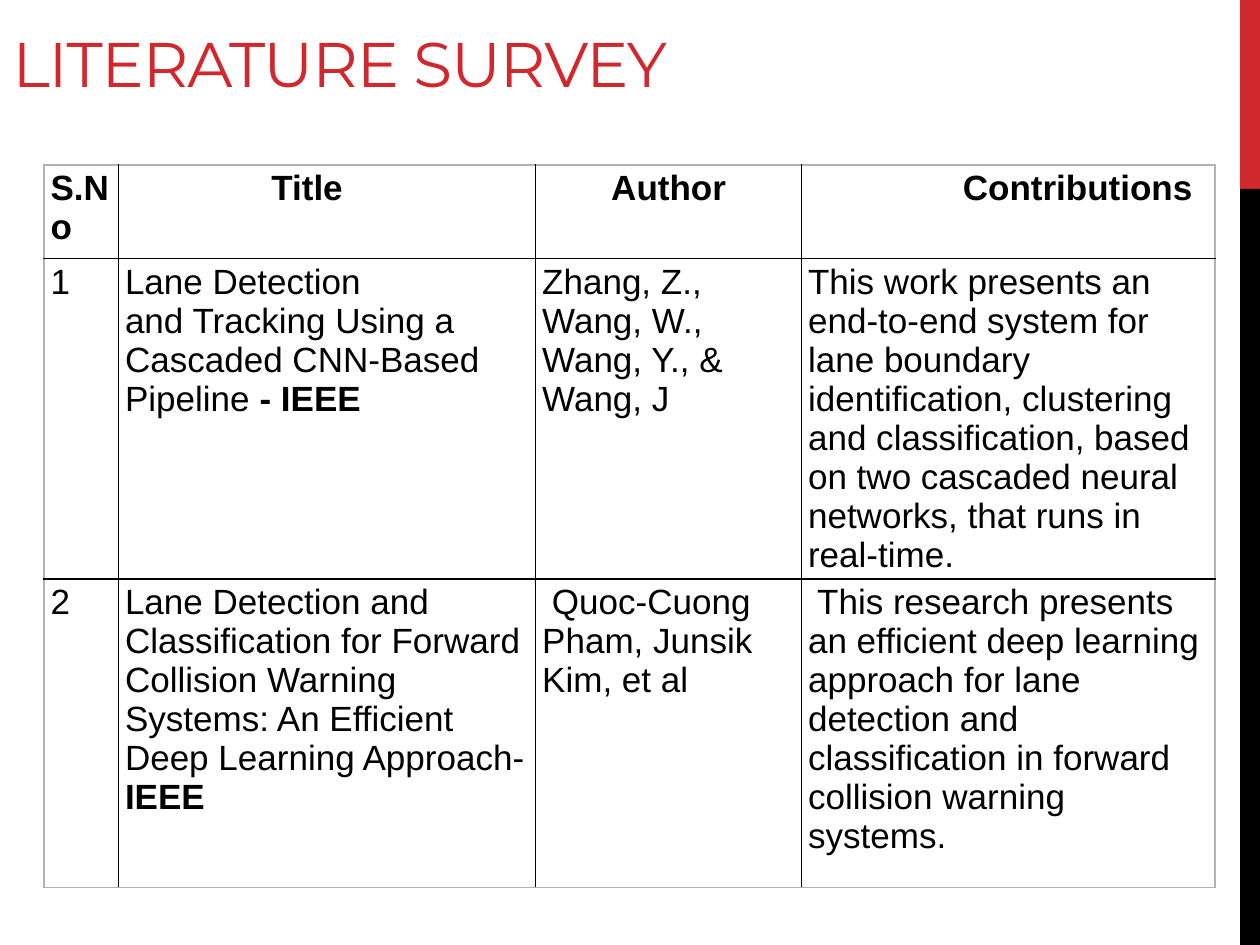
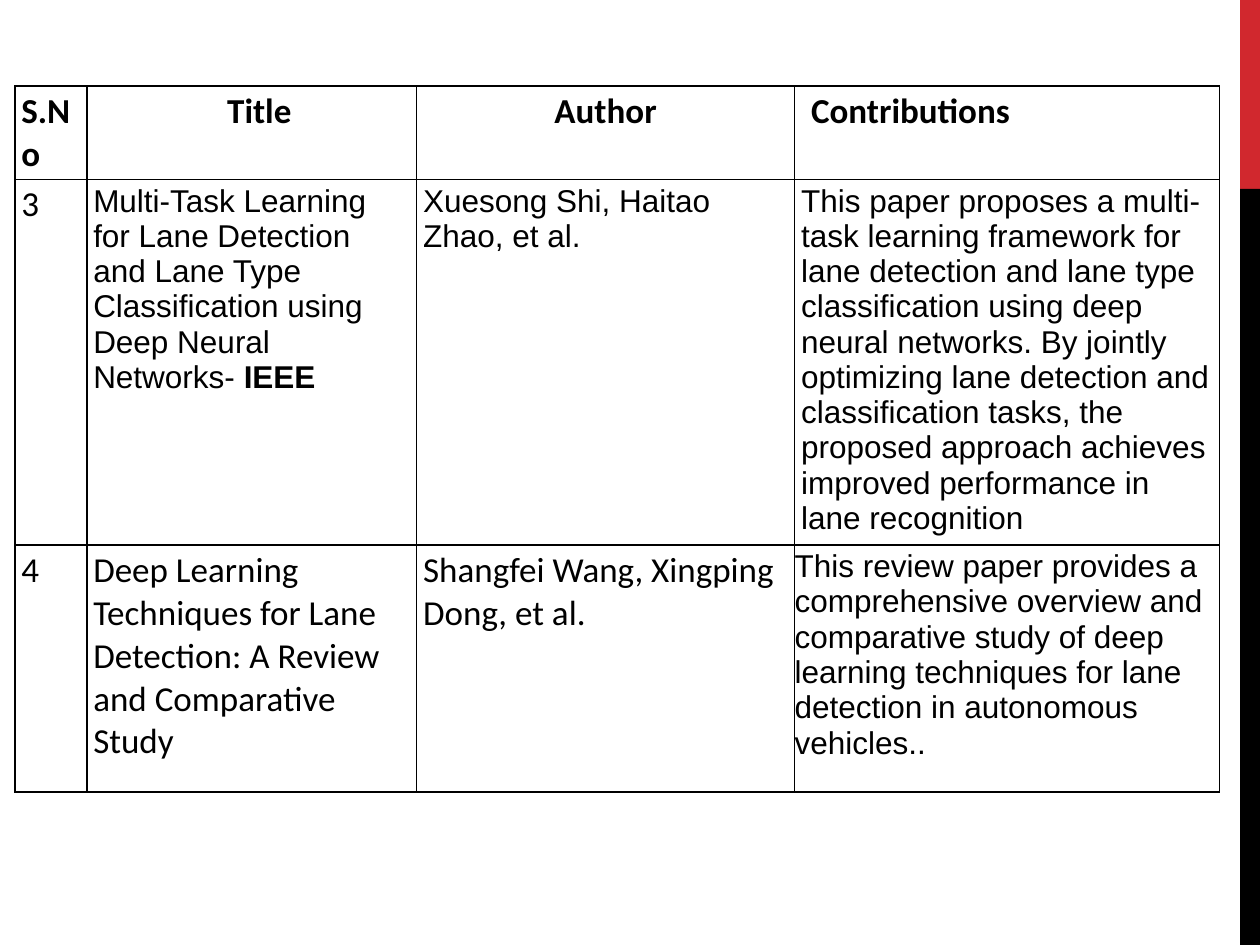
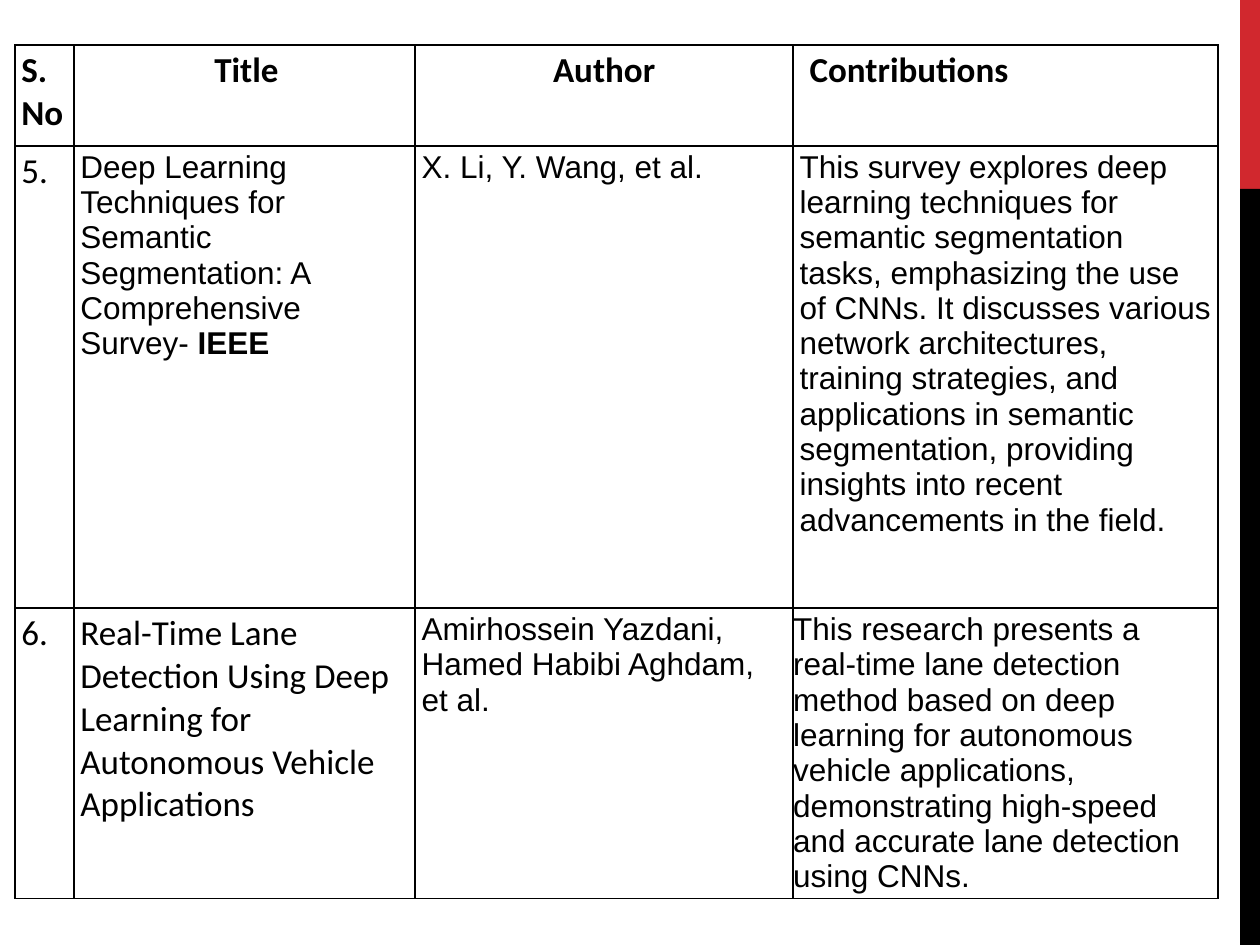
from dataclasses import dataclass

from pptx import Presentation
from pptx import util as u
from pptx.dml.color import RGBColor
from pptx.enum import shapes, text
from pptx.oxml import parse_xml
from pptx.oxml.ns import nsdecls

RED = RGBColor(0xD1, 0x28, 0x2E)
BLACK = RGBColor(0, 0, 0)
GRAY = RGBColor(0xB2, 0xB2, 0xB2)

ARIAL_20 = {"name": "Arial", "size": u.Pt(20)}
ARIAL_18 = {"name": "Arial", "size": u.Pt(18)}
CALIBRI_20 = {"name": "Calibri", "size": u.Pt(20)}
TITLE_FONT = {"name": "Montserrat", "size": u.Pt(36)}

CELL_MARGINS = {
    "margin_left": u.Cm(0.13),
    "margin_right": u.Cm(0.13),
    "margin_top": u.Cm(0.08),
    "margin_bottom": u.Cm(0.08),
}


@dataclass
class Band:
    top: float
    height: float
    color: RGBColor


@dataclass
class Entry:
    words: str
    font: dict
    bold_tail: str = ""
    bold: bool = False
    indent: float = 0
    centered: bool = False
    flush: bool = False


@dataclass
class Survey:
    left: float
    top: float
    widths: list[float]
    heights: list[float]
    outer: RGBColor
    rows: list[list[Entry]]


BANDS = [Band(0, 3.81, RED), Band(3.81, 15.24, BLACK)]


def header(font: dict, title_indent: float, last_indent: float) -> list[Entry]:
    return [
        Entry("S.No", font, bold=True),
        Entry("Title", font, bold=True, indent=title_indent),
        Entry("Author", font, bold=True, centered=True),
        Entry("Contributions", font, bold=True, indent=last_indent),
    ]


SURVEYS = [
    Survey(0.89, 3.33, [1.5, 8.41, 5.36, 8.33], [1.88, 6.1, 6.22], GRAY, [
        header(ARIAL_20, 2.95, 3.12),
        [
            Entry("1", ARIAL_20),
            Entry("Lane Detection\nand Tracking Using a Cascaded CNN-Based Pipeline ", ARIAL_20, "- IEEE"),
            Entry("Zhang, Z., Wang, W., Wang, Y., & Wang, J", ARIAL_20),
            Entry("This work presents an end-to-end system for lane boundary identification, "
                  "clustering and classification, based on two cascaded neural networks, "
                  "that runs in real-time.", ARIAL_20),
        ],
        [
            Entry("2", ARIAL_20),
            Entry("Lane Detection and Classification for Forward Collision Warning Systems: "
                  "An Efficient Deep Learning Approach-", ARIAL_20, "IEEE"),
            Entry(" Quoc-Cuong Pham, Junsik Kim, et al", ARIAL_20),
            Entry(" This research presents an efficient deep learning approach for lane "
                  "detection and classification in forward collision warning systems.", ARIAL_20),
        ],
    ]),
    Survey(0.3, 1.73, [1.45, 6.65, 7.62, 8.56], [1.75, 7.37, 4.98], BLACK, [
        header(CALIBRI_20, 2.7, 0.2),
        [
            Entry("3", CALIBRI_20),
            Entry("Multi-Task Learning for Lane Detection and Lane Type Classification "
                  "using Deep Neural Networks- ", ARIAL_18, "IEEE"),
            Entry("Xuesong Shi, Haitao Zhao, et al.", ARIAL_18),
            Entry("This paper proposes a multi-task learning framework for lane detection and "
                  "lane type classification using deep neural networks. By jointly optimizing "
                  "lane detection and classification tasks, the proposed approach achieves "
                  "improved performance in lane recognition", ARIAL_18),
        ],
        [
            Entry("4", CALIBRI_20),
            Entry("Deep Learning Techniques for Lane Detection: A Review and Comparative Study",
                  CALIBRI_20),
            Entry("Shangfei Wang, Xingping Dong, et al.", CALIBRI_20),
            Entry("This review paper provides a comprehensive overview and comparative study of "
                  "deep learning techniques for lane detection in autonomous vehicles..",
                  ARIAL_18, flush=True),
        ],
    ]),
    Survey(0.3, 0.91, [1.19, 6.88, 7.62, 8.56], [2.03, 9.32, 5.77], BLACK, [
        header(CALIBRI_20, 2.7, 0.2),
        [
            Entry("5.", CALIBRI_20),
            Entry("Deep Learning Techniques for Semantic Segmentation: A Comprehensive Survey- ",
                  ARIAL_18, "IEEE"),
            Entry("X. Li, Y. Wang, et al.", ARIAL_18),
            Entry("This survey explores deep learning techniques for semantic segmentation tasks, "
                  "emphasizing the use of CNNs. It discusses various network architectures, "
                  "training strategies, and applications in semantic segmentation, providing "
                  "insights into recent advancements in the field.", ARIAL_18),
        ],
        [
            Entry("6.", CALIBRI_20),
            Entry("Real-Time Lane Detection Using Deep Learning for Autonomous Vehicle Applications",
                  CALIBRI_20),
            Entry("Amirhossein Yazdani, Hamed Habibi Aghdam, et al.", ARIAL_18),
            Entry("This research presents a real-time lane detection method based on deep learning "
                  "for autonomous vehicle applications, demonstrating high-speed and accurate lane "
                  "detection using CNNs.", ARIAL_18, flush=True),
        ],
    ]),
]


def apply(target, values: dict) -> None:
    for name, value in values.items():
        setattr(target, name, value)


def add_span(para, words: str, font: dict, color: RGBColor, bold: bool = False):
    span = para.add_run()
    span.text = words
    apply(span.font, {**font, "bold": bold})
    span.font.color.rgb = color
    return span


def add_bands(deck, page) -> None:
    tree = deck.slide_master.shapes.element
    for number, band in enumerate(BANDS, start=101):
        box = page.shapes.add_shape(shapes.MSO_SHAPE.RECTANGLE, u.Cm(25), u.Cm(band.top),
                                    u.Cm(0.4), u.Cm(band.height))
        box.shadow.inherit = False
        box.fill.solid()
        box.fill.fore_color.rgb = band.color
        box.line.fill.background()
        box.element.xpath(".//p:cNvPr")[0].set("id", str(number))
        tree.insert_element_before(box.element, "p:extLst")


def add_title(page, words: str) -> None:
    box = page.shapes.title
    apply(box, {"left": 0, "top": u.Cm(0.03), "width": u.Cm(19.1), "height": u.Cm(2.11)})
    apply(box.text_frame, {"vertical_anchor": text.MSO_ANCHOR.BOTTOM,
                           "auto_size": text.MSO_AUTO_SIZE.NONE, "word_wrap": True})
    para = box.text_frame.paragraphs[0]
    para.alignment = text.PP_ALIGN.LEFT
    span = add_span(para, words, TITLE_FONT, RED)
    span.font.element.set("spc", "-60") if hasattr(span.font, "element") else span._r.get_or_add_rPr().set("spc", "-60")


def fill_cell(cell, entry: Entry) -> None:
    apply(cell, CELL_MARGINS)
    if entry.flush:
        cell.margin_left = 0
    cell.fill.background()
    lines = entry.words.split("\n")
    for index, line in enumerate(lines):
        para = cell.text_frame.paragraphs[0] if index == 0 else cell.text_frame.add_paragraph()
        para.alignment = text.PP_ALIGN.CENTER if entry.centered else text.PP_ALIGN.LEFT
        if entry.indent:
            para._p.get_or_add_pPr().set("marL", str(u.Cm(entry.indent)))
        add_span(para, line, entry.font, BLACK, entry.bold)
    if entry.bold_tail:
        add_span(para, entry.bold_tail, entry.font, BLACK, True)


def set_borders(cell, colors: dict[str, RGBColor]) -> None:
    properties = cell._tc.get_or_add_tcPr()
    for index, (side, color) in enumerate(colors.items()):
        properties.insert(index, parse_xml(
            f'<a:ln{side} {nsdecls("a")} w="{u.Pt(1)}"><a:solidFill>'
            f'<a:srgbClr val="{color}"/></a:solidFill></a:ln{side}>'))


def add_survey(page, survey: Survey) -> None:
    frame = page.shapes.add_table(
        len(survey.heights), len(survey.widths), u.Cm(survey.left), u.Cm(survey.top),
        u.Cm(sum(survey.widths)), u.Cm(sum(survey.heights)))
    table = frame.table
    apply(table, {"first_row": False, "horz_banding": False})
    for column, width in zip(table.columns, survey.widths):
        column.width = u.Cm(width)
    for row, height in zip(table.rows, survey.heights):
        row.height = u.Cm(height)
    last_row, last_column = len(survey.heights) - 1, len(survey.widths) - 1
    for r, entries in enumerate(survey.rows):
        for c, entry in enumerate(entries):
            cell = table.cell(r, c)
            fill_cell(cell, entry)
            edges = {"L": c == 0, "R": c == last_column, "T": r == 0, "B": r == last_row}
            set_borders(cell, {side: survey.outer if edge else BLACK
                               for side, edge in edges.items()})


def main() -> None:
    deck = Presentation()
    apply(deck, {"slide_width": u.Cm(25.4), "slide_height": u.Cm(19.05)})
    title_only, blank = deck.slide_layouts[5], deck.slide_layouts[6]
    for index, survey in enumerate(SURVEYS):
        page = deck.slides.add_slide(blank if index else title_only)
        if index == 0:
            add_bands(deck, page)
            add_title(page, "LITERATURE SURVEY")
        add_survey(page, survey)
    deck.save("out.pptx")


if __name__ == "__main__":
    main()
